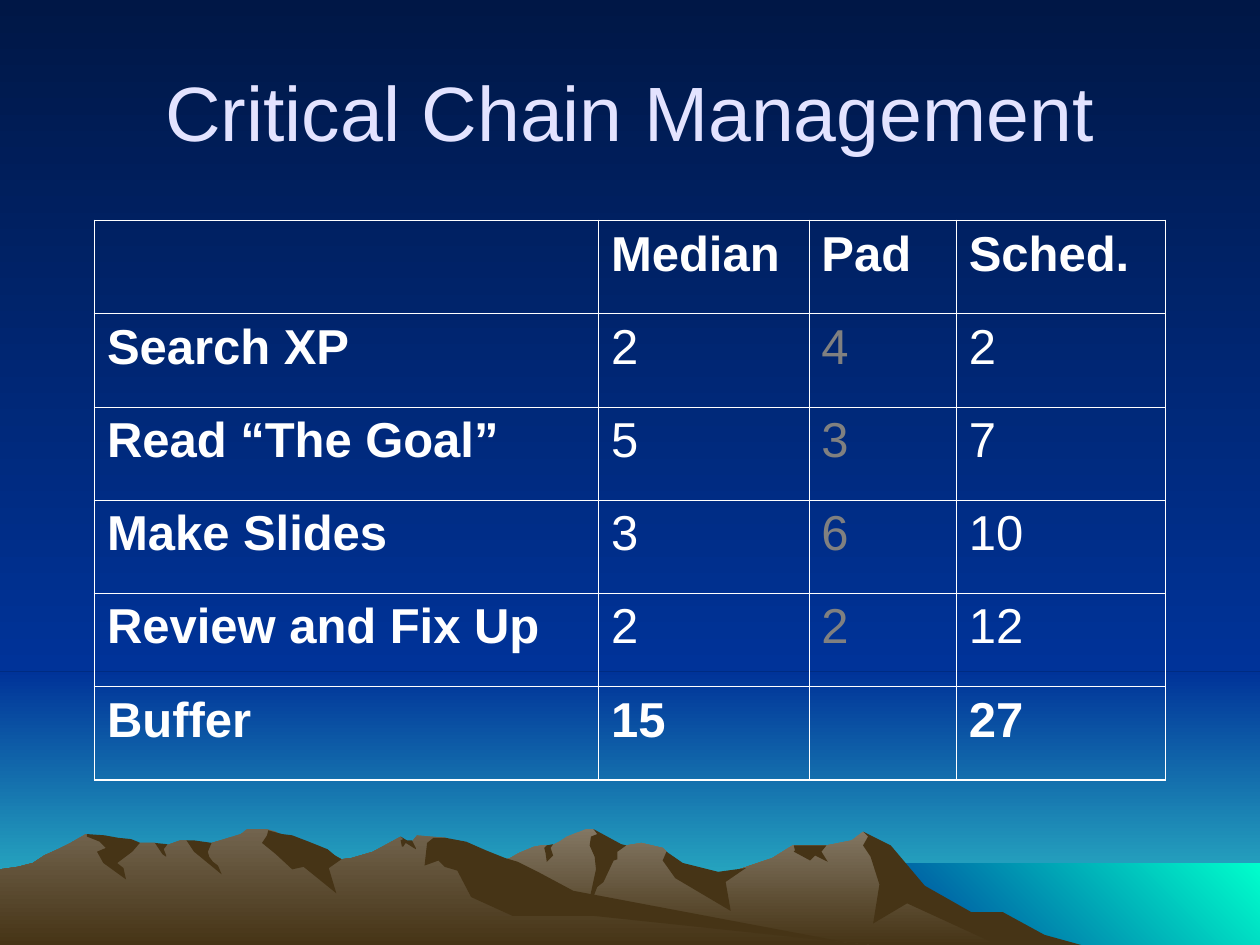
from lxml import etree
from pptx import Presentation
from pptx.dml.color import RGBColor
from pptx.enum.shapes import MSO_SHAPE
from pptx.enum.text import MSO_ANCHOR, PP_ALIGN
from pptx.oxml.ns import qn
from pptx.util import Inches, Pt

RECTANGLE = MSO_SHAPE.RECTANGLE
MIDDLE = MSO_ANCHOR.MIDDLE
CENTER = PP_ALIGN.CENTER

FONT = "Arial"
COLORS = {
    "night": "001746", "blue": "003399", "horizon": "33CCCC", "sea": "00FFCC",
    "far_rock": "837763", "near_rock": "72644E", "earth": "463416",
    "title": "E3E3FF", "white": "FFFFFF", "grey": "808080",
}
HEADER = ["", "Median", "Pad", "Sched."]
TASKS = [
    ["Search XP", "2", "4", "2"],
    ["Read “The Goal”", "5", "3", "7"],
    ["Make Slides", "3", "6", "10"],
    ["Review and Fix Up", "2", "2", "12"],
]
TOTAL = ["Buffer", "15", "", "27"]
COLUMN_WIDTHS = [4, 1.67, 1.17, 1.66]
PAD_COLUMN = 2

# Mountain outlines: fill and points, in hundredths of an inch from the
# top left corner of the mountain range. A pair of colours is a gradient.
RANGE_TOP = 658
FAR_RANGE = [
    (("far_rock", "earth"), [
        (802, 82), (778, 69), (764, 65), (723, 40), (702, 13), (685, 2), (676, 9),
        (656, 13), (629, 13), (613, 23), (566, 39), (536, 32), (529, 18), (526, 15),
        (509, 11), (497, 13), (486, 15), (474, 3), (471, 0), (465, 0), (450, 6),
        (444, 10), (438, 13), (430, 13), (424, 14), (412, 19), (405, 23), (394, 27),
        (355, 40), (327, 51), (277, 81), (258, 92), (820, 92)]),
    (("earth",), [
        (796, 66), (771, 66), (734, 45), (707, 13), (685, 2), (689, 6), (685, 13),
        (691, 22), (698, 44), (693, 75), (720, 59), (792, 92), (858, 92), (829, 84)]),
    (("earth",), [
        (471, 0), (474, 4), (469, 6), (468, 13), (472, 22), (473, 32), (465, 69),
        (474, 46), (479, 42), (487, 25), (490, 24), (490, 18), (497, 13), (493, 12)]),
    (("earth",), [
        (529, 18), (526, 25), (536, 39), (580, 65), (576, 42), (592, 31), (570, 34),
        (542, 27)]),
    (("earth",), [
        (650, 13), (630, 13), (631, 17), (630, 18), (643, 25), (647, 21), (657, 26),
        (652, 18), (656, 13)]),
    (("earth",), [
        (433, 19), (432, 15), (434, 13), (439, 12), (437, 15), (439, 21), (434, 26)]),
]
NEAR_RANGE = [
    (("near_rock", "earth"), [
        (690, 92), (667, 90), (432, 54), (354, 7), (331, 5), (327, 10), (323, 10),
        (318, 6), (296, 18), (279, 23), (271, 24), (260, 18), (236, 23), (223, 5),
        (219, 2), (212, 0), (196, 0), (191, 4), (178, 8), (168, 11), (160, 13),
        (148, 9), (143, 9), (132, 13), (128, 13), (123, 11), (111, 11), (94, 13),
        (68, 4), (56, 11), (46, 16), (35, 21), (26, 27), (14, 30), (0, 32), (0, 92)]),
    (("earth",), [
        (212, 5), (208, 11), (219, 20), (232, 32), (241, 30), (267, 51), (261, 31),
        (271, 24), (266, 21), (260, 16), (245, 10), (232, 5), (224, 4), (213, 1)]),
    (("earth",), [
        (370, 10), (354, 7), (344, 7), (339, 11), (337, 29), (348, 25), (353, 30),
        (363, 33), (374, 54), (407, 69), (472, 69), (690, 92), (683, 92), (455, 49),
        (427, 34), (411, 26), (401, 23), (386, 17)]),
    (("earth",), [
        (318, 9), (320, 8), (318, 6), (323, 9), (327, 9), (330, 15), (330, 16),
        (322, 11), (320, 14), (319, 14)]),
    (("earth",), [
        (154, 9), (168, 11), (165, 18), (166, 22), (169, 26), (173, 29), (176, 36),
        (165, 27), (154, 18), (148, 9)]),
    (("earth",), [
        (133, 12), (130, 16), (132, 21), (132, 22), (129, 20), (123, 11)]),
    (("earth",), [
        (109, 10), (111, 11), (105, 18), (93, 27), (98, 31), (100, 40), (82, 27),
        (77, 18), (84, 15), (79, 10), (69, 6), (69, 4), (83, 5), (94, 7), (104, 8)]),
]


def rgb(name):
    return RGBColor.from_string(COLORS[name])


def paint(fill, names, angle=90):
    """Fill with one colour, or with a gradient turned clockwise by angle."""
    if len(names) == 1:
        fill.solid()
        fill.fore_color.rgb = rgb(names[0])
        return
    fill.gradient()
    fill.gradient_angle = 360 - angle
    for stop, name, position in zip(fill.gradient_stops, names, (0, 1)):
        stop.color.rgb = rgb(name)
        stop.position = position


def finish(sp, names, angle=90):
    paint(sp.fill, names, angle)
    sp.line.fill.background()
    sp.shadow.inherit = False


def add_sky_and_sea(s, width, height):
    horizon = Inches(5.33)
    sea_left, sea_top = Inches(6.83), Inches(6.85)
    bands = [
        ((0, horizon, width, height - horizon), ("blue", "horizon"), 90),
        ((0, 0, width, horizon), ("night", "blue"), 90),
        ((sea_left, sea_top, width - sea_left, height - sea_top), ("sea", "blue"), 135),
    ]
    for box, names, angle in bands:
        finish(s.shapes.add_shape(RECTANGLE, *box), names, angle)


def add_mountains(s, outlines, top):
    for names, points in outlines:
        (x, y), *rest = [(px, top + py) for px, py in points]
        builder = s.shapes.build_freeform(x, y, scale=Inches(0.01))
        builder.add_line_segments(rest, close=True)
        finish(builder.convert_to_shape(), names)


def add_text(p, text, size, color, bold=False):
    r = p.add_run()
    r.text = text
    r.font.name, r.font.size, r.font.bold = FONT, Pt(size), bold
    r.font.color.rgb = rgb(color)


def place_title(s, text, left, top, width, height):
    title = s.shapes.title
    title.left, title.top, title.width, title.height = left, top, width, height
    title.text_frame.vertical_anchor = MIDDLE
    p = title.text_frame.paragraphs[0]
    p.alignment = CENTER
    add_text(p, text, 44, "title")
    s.shapes._spTree.append(title._element)  # in front of the scenery


def set_borders(cell, outer_sides):
    tcPr = cell._tc.get_or_add_tcPr()
    for side in "LRTB":
        weight = Pt(1.08 if side in outer_sides else 0.45)
        ln = etree.SubElement(tcPr, qn(f"a:ln{side}"), w=str(weight))
        solid = etree.SubElement(ln, qn("a:solidFill"))
        etree.SubElement(solid, qn("a:srgbClr"), val=COLORS["white"])


def add_schedule(s, left, top, width, height):
    rows = [HEADER, *TASKS, TOTAL]
    last_row, last_col = len(rows) - 1, len(HEADER) - 1
    table = s.shapes.add_table(len(rows), len(HEADER), left, top, width, height).table
    table.first_row = table.horz_banding = False
    for column, share in zip(table.columns, COLUMN_WIDTHS):
        column.width = int(width * share / sum(COLUMN_WIDTHS))
    for i, row in enumerate(rows):
        for j, text in enumerate(row):
            cell = table.cell(i, j)
            edges = {"L": j == 0, "R": j == last_col, "T": i == 0, "B": i == last_row}
            set_borders(cell, [side for side, outer in edges.items() if outer])
            cell.fill.background()
            if text:
                is_task = 0 < i < last_row
                color = "grey" if is_task and j == PAD_COLUMN else "white"
                add_text(cell.text_frame.paragraphs[0], text, 28, color,
                         bold=not is_task or j == 0)


def main():
    prs = Presentation()
    prs.slide_width, prs.slide_height = Inches(10), Inches(7.5)
    s = prs.slides.add_slide(prs.slide_layouts[5])
    paint(s.background.fill, ("night", "blue"))
    add_sky_and_sea(s, prs.slide_width, prs.slide_height)
    add_mountains(s, FAR_RANGE + NEAR_RANGE, RANGE_TOP)
    place_title(s, "Critical Chain Management",
                Inches(0.5), Inches(0.25), Inches(9), Inches(1.25))
    add_schedule(s, Inches(0.75), Inches(1.75), Inches(8.5), Inches(4.44))
    prs.save("out.pptx")


if __name__ == "__main__":
    main()
